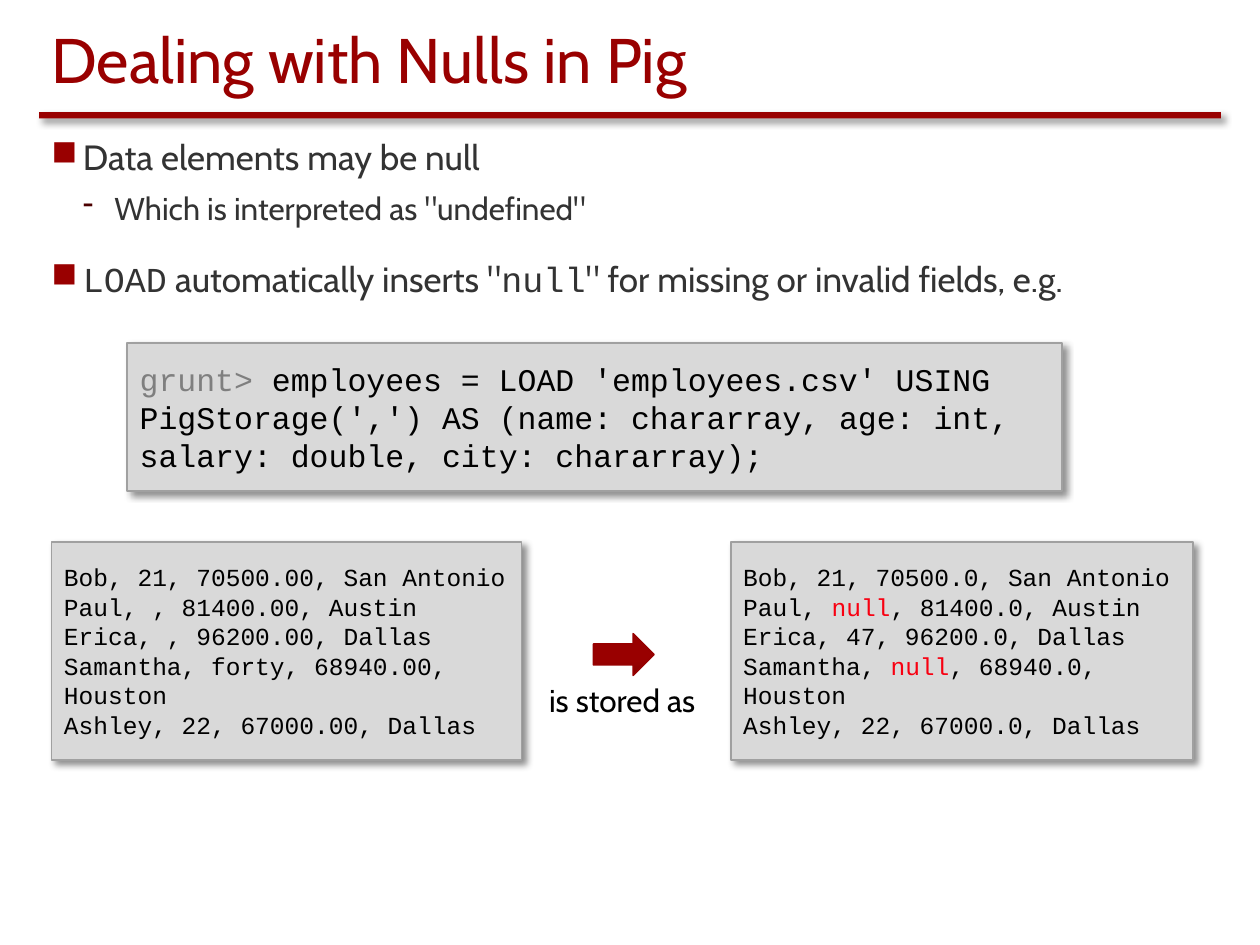
from dataclasses import dataclass

import lxml.etree
import pptx
import pptx.dml.color
import pptx.enum.shapes
import pptx.enum.text
import pptx.oxml.ns
import pptx.util

Inches = pptx.util.Inches
Pt = pptx.util.Pt
RGBColor = pptx.dml.color.RGBColor
Anchor = pptx.enum.text.MSO_ANCHOR
ShapeKind = pptx.enum.shapes.MSO_SHAPE
qn = pptx.oxml.ns.qn

CRIMSON = RGBColor(0x99, 0x00, 0x00)
DARK_CRIMSON = RGBColor(0x83, 0x00, 0x00)
ARROW_LINE = RGBColor(0x96, 0x00, 0x00)
MAROON = RGBColor(0x4C, 0x00, 0x00)
CHARCOAL = RGBColor(0x33, 0x33, 0x33)
BLACK = RGBColor(0x00, 0x00, 0x00)
PROMPT_GRAY = RGBColor(0x7F, 0x7F, 0x7F)
PANEL_GRAY = RGBColor(0xD9, 0xD9, 0xD9)
BORDER_GRAY = RGBColor(0xA0, 0xA0, 0xA0)
NULL_RED = RGBColor(0xF8, 0x00, 0x11)
SANS = "Cabin"
MONO = "Courier New"


@dataclass(frozen=True)
class Box:
    left: float
    top: float
    width: float
    height: float

    def lengths(self) -> tuple:
        return tuple(Inches(v) for v in (self.left, self.top, self.width, self.height))


@dataclass(frozen=True)
class Span:
    text: str
    color: RGBColor = BLACK
    font: str = MONO


@dataclass(frozen=True)
class Bullet:
    spans: tuple[Span, ...]
    size: int
    mark: str
    mark_color: RGBColor
    level: int
    space_before: int


@dataclass(frozen=True)
class CodePanel:
    box: Box
    size: int
    lines: tuple[tuple[Span, ...], ...]


def add_spans(paragraph, spans: tuple[Span, ...], size: int) -> None:
    for span in spans:
        run = paragraph.add_run()
        run.text = span.text
        run.font.size = Pt(size)
        run.font.name = span.font
        run.font.color.rgb = span.color


def next_paragraph(frame, index: int):
    return frame.add_paragraph() if index else frame.paragraphs[0]


def add_text_box(slide, box: Box, wrap: bool = True, anchor=Anchor.TOP):
    frame = slide.shapes.add_textbox(*box.lengths()).text_frame
    frame.word_wrap = wrap
    frame.vertical_anchor = anchor
    return frame


def add_shadow(shape) -> None:
    effects = lxml.etree.SubElement(shape._element.spPr, qn("a:effectLst"))
    shadow = lxml.etree.SubElement(
        effects, qn("a:outerShdw"), blurRad=str(Pt(4)), dist=str(Pt(3)),
        dir="2700000", algn="tl", rotWithShape="0")
    color = lxml.etree.SubElement(shadow, qn("a:srgbClr"), val=str(BLACK))
    lxml.etree.SubElement(color, qn("a:alpha"), val="43000")


def add_shadowed_rectangle(slide, box: Box, fill: RGBColor, line: RGBColor | None = None):
    shape = slide.shapes.add_shape(ShapeKind.RECTANGLE, *box.lengths())
    shape.fill.solid()
    shape.fill.fore_color.rgb = fill
    if line is None:
        shape.line.fill.background()
    else:
        shape.line.color.rgb = line
        shape.line.width = Pt(1)
    add_shadow(shape)
    return shape


def add_code_panel(slide, panel: CodePanel) -> None:
    shape = add_shadowed_rectangle(slide, panel.box, PANEL_GRAY, BORDER_GRAY)
    frame = shape.text_frame
    frame.word_wrap = True
    frame.vertical_anchor = Anchor.MIDDLE
    for index, spans in enumerate(panel.lines):
        paragraph = next_paragraph(frame, index)
        paragraph.alignment = pptx.enum.text.PP_ALIGN.LEFT
        add_spans(paragraph, spans, panel.size)


def add_bullet(paragraph, bullet: Bullet) -> None:
    paragraph.level = bullet.level
    paragraph.space_before = Pt(bullet.space_before)
    properties = paragraph._p.get_or_add_pPr()
    properties.set("marL", str(Inches(0.25 * (bullet.level + 1))))
    properties.set("indent", str(Inches(-0.25)))
    color = lxml.etree.SubElement(properties, qn("a:buClr"))
    lxml.etree.SubElement(color, qn("a:srgbClr"), val=str(bullet.mark_color))
    lxml.etree.SubElement(properties, qn("a:buChar"), char=bullet.mark)
    add_spans(paragraph, bullet.spans, bullet.size)


def add_arrow(slide, box: Box) -> None:
    arrow = slide.shapes.add_shape(ShapeKind.RIGHT_ARROW, *box.lengths())
    arrow.shadow.inherit = False
    arrow.fill.gradient()
    arrow.fill.gradient_angle = 90
    stops = arrow.fill.gradient_stops
    for stop, position, color in zip(stops, (0, 0.35), (DARK_CRIMSON, CRIMSON)):
        stop.position = position
        stop.color.rgb = color
    arrow.line.color.rgb = ARROW_LINE
    arrow.line.width = Pt(1)


def body_span(text: str, font: str = SANS) -> Span:
    return Span(text, CHARCOAL, font)


NULL = Span("null", NULL_RED)
BULLETS = (
    Bullet((body_span("Data elements may be null"),), 20, "■", CRIMSON, 0, 0),
    Bullet((body_span('Which is interpreted as "undefined"'),), 18, "-", MAROON, 1, 6),
    Bullet((body_span("LOAD", MONO), body_span(' automatically inserts "'),
            body_span("null", MONO),
            body_span('" for missing or invalid fields, e.g.')),
           20, "■", CRIMSON, 0, 18),
)
PANELS = (
    CodePanel(Box(1.01, 2.72, 7.42, 1.18), 18, (
        (Span("grunt> ", PROMPT_GRAY),
         Span("employees = LOAD 'employees.csv' USING PigStorage(',') AS "
              "(name: chararray, age: int, salary: double, city: chararray);")),
    )),
    CodePanel(Box(0.41, 4.3, 3.73, 1.73), 14, (
        (Span("Bob, 21, 70500.00, San Antonio"),),
        (Span("Paul, , 81400.00, Austin"),),
        (Span("Erica, , 96200.00, Dallas"),),
        (Span("Samantha, forty, 68940.00, Houston"),),
        (Span("Ashley, 22, 67000.00, Dallas"),),
    )),
    CodePanel(Box(5.8, 4.3, 3.67, 1.73), 14, (
        (Span("Bob, 21, 70500.0, San Antonio"),),
        (Span("Paul, "), NULL, Span(", 81400.0, Austin")),
        (Span("Erica, 47, 96200.0, Dallas"),),
        (Span("Samantha, "), NULL, Span(", 68940.0, Houston")),
        (Span("Ashley, 22, 67000.0, Dallas"),),
    )),
)


def main() -> None:
    presentation = pptx.Presentation()
    presentation.slide_width = Inches(10)
    presentation.slide_height = Inches(7.5)
    slide = presentation.slides.add_slide(presentation.slide_layouts[6])

    add_shadowed_rectangle(slide, Box(0.31, 0.89, 9.38, 0.05), CRIMSON)
    title = add_text_box(slide, Box(0.31, 0.14, 9.38, 0.67), anchor=Anchor.BOTTOM)
    add_spans(title.paragraphs[0], (Span("Dealing with Nulls in Pig", CRIMSON, SANS),), 36)

    body = add_text_box(slide, Box(0.31, 1.03, 9.38, 5.91))
    for index, bullet in enumerate(BULLETS):
        add_bullet(next_paragraph(body, index), bullet)

    for panel in PANELS:
        add_code_panel(slide, panel)

    caption = add_text_box(slide, Box(4.26, 5.36, 1.36, 0.4), wrap=False)
    add_spans(caption.paragraphs[0], (Span("is stored as", BLACK, SANS),), 18)
    add_arrow(slide, Box(4.71, 5.03, 0.48, 0.33))

    presentation.save("out.pptx")


if __name__ == "__main__":
    main()
